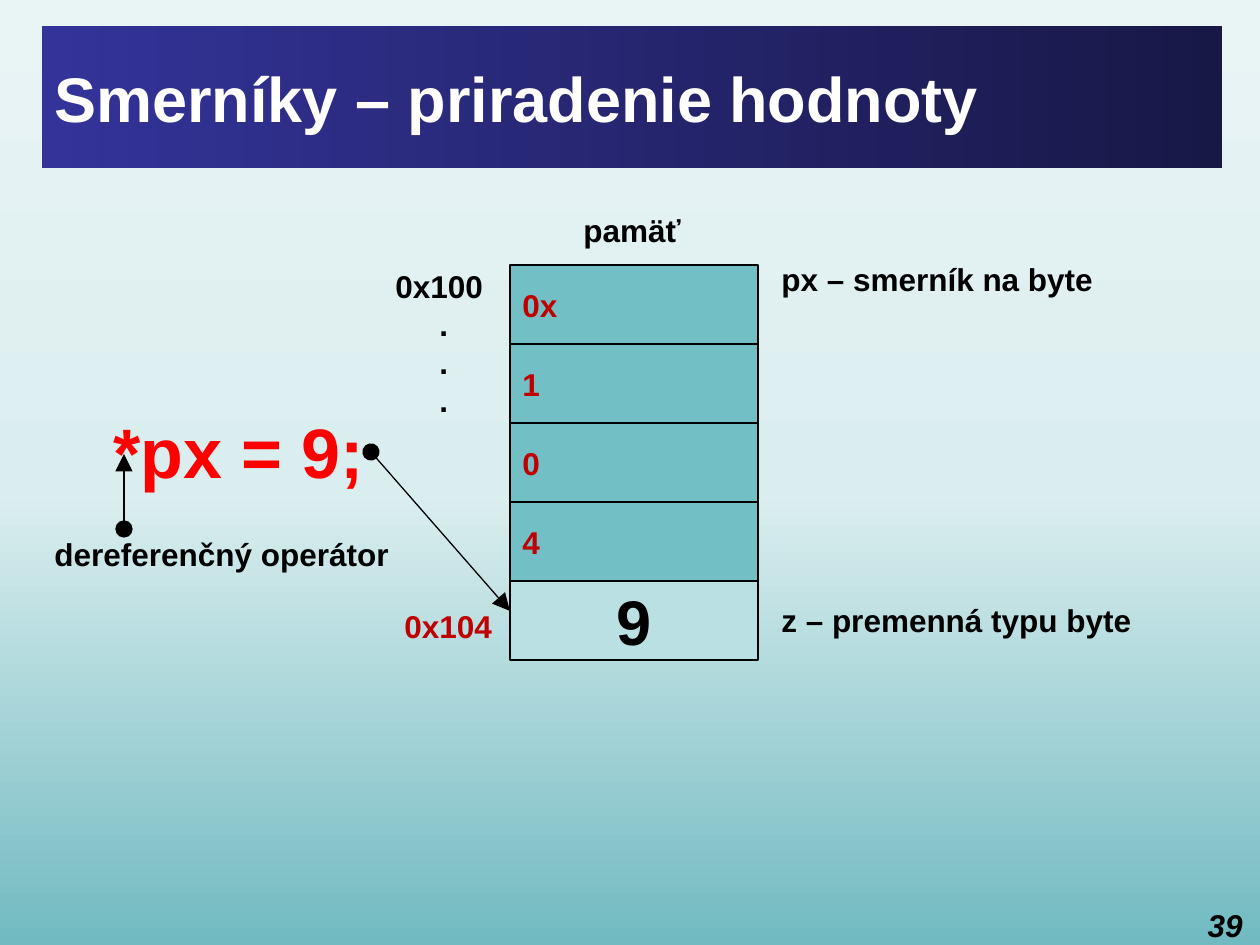
from copy import deepcopy

from lxml import etree
from pptx import Presentation
from pptx import util as u
from pptx.dml.color import RGBColor
from pptx.enum import shapes, text
from pptx.oxml import ns

PX = 914400 // 126
COLORS = {
    "black": "000000", "white": "FFFFFF", "red": "FF0000", "dark red": "C00000",
    "teal": "72BFC5", "pale": "BBE0E3", "indigo": "333399", "navy": "181847",
    "bottom": "71BAC1", "middle": "DBEEEF", "top": "E9F4F5",
}


def write(box, lines, size=18, color="black", align="LEFT", anchor="TOP", wrap=False, italic=False):
    """Fill a box with bold lines and return its paragraphs."""
    frame = box.text_frame
    frame.text = "\n".join(lines)
    frame.word_wrap = wrap
    frame.vertical_anchor = text.MSO_ANCHOR[anchor]
    style = {"name": "Arial", "size": u.Pt(size), "bold": True, "italic": italic}
    for para in frame.paragraphs:
        para.alignment = text.PP_ALIGN[align]
        for span in para.runs:
            for key, value in style.items():
                setattr(span.font, key, value)
            span.font.color.rgb = RGBColor.from_string(COLORS[color])
    return frame.paragraphs


def shade(fill, stops, angle):
    """Apply a linear gradient with any number of (position, color) stops."""
    fill.gradient()
    fill.gradient_angle = angle
    first = fill.gradient_stops[0]._gs
    for _ in stops[2:]:
        first.addnext(deepcopy(first))
    for stop, (position, color) in zip(fill.gradient_stops, stops):
        stop.position = position
        stop.color.rgb = RGBColor.from_string(COLORS[color])


deck = Presentation()
deck.slide_width, deck.slide_height = u.Inches(10), u.Inches(7.5)
page = deck.slides.add_slide(deck.slide_layouts[6])
shade(page.background.fill, [(0, "bottom"), (0.48, "middle"), (1, "top")], 90)

# Title bar
bar = page.shapes.add_shape(shapes.MSO_SHAPE.RECTANGLE, 42 * PX, 26 * PX, 1180 * PX, 142 * PX)
bar.shadow.inherit = False
bar.line.fill.background()
shade(bar.fill, [(0, "indigo"), (1, "navy")], 0)
write(bar, ["Smerníky – priradenie hodnoty"], 36, "white", anchor="MIDDLE", wrap=True)

# Address column: the last address stands six lines below the dots
column = page.shapes.add_textbox(383 * PX, 261 * PX, 129 * PX, 432 * PX)
addresses = write(column, ["0x100", ".", ".", ".", "0x104"], wrap=True)
for para, indent in zip(addresses, [0, 44, 44, 44, 9]):
    para.line_spacing = u.Pt(21.6)
    para._p.get_or_add_pPr().set("marL", str(indent * PX))
addresses[-1].space_before = u.Pt(5 * 21.6)
addresses[-1].runs[0].font.color.rgb = RGBColor.from_string(COLORS["dark red"])

# Memory cells: four bytes of the pointer, then the variable
pointer = {"size": 18, "color": "dark red"}
variable = {"size": 36, "color": "black", "align": "CENTER"}
cells = [(value, "teal", pointer) for value in ["0x", "1", "0", "4"]]
cells.append(("9", "pale", variable))
for row, (value, fill, style) in enumerate(cells):
    cell = page.shapes.add_shape(
        shapes.MSO_SHAPE.RECTANGLE, 510 * PX, (265 + 79 * row) * PX, 248 * PX, 79 * PX)
    cell.shadow.inherit = False
    cell.fill.solid()
    cell.fill.fore_color.rgb = RGBColor.from_string(COLORS[fill])
    cell.line.color.rgb = RGBColor.from_string(COLORS["black"])
    cell.line.width = u.Pt(0.75)
    write(cell, [value], anchor="MIDDLE", **style)

# Labels, statement and page number
labels = [
    ("pamäť", 571, 205, 123, 50, {}),
    ("px – smerník na byte", 769, 254, 340, 50, {}),
    ("z – premenná typu byte", 769, 595, 379, 50, {}),
    ("dereferenčný operátor", 42, 529, 363, 50, {}),
    ("*px = 9;", 101, 402, 280, 97, {"size": 40, "color": "red"}),
    ("39", 1188, 900, 67, 39, {"align": "RIGHT", "italic": True, "wrap": True}),
]
for label, left, top, width, height, style in labels:
    box = page.shapes.add_textbox(left * PX, top * PX, width * PX, height * PX)
    write(box, [label], **style)

# Arrows from the statement to the variable and from the note to the operator
for ends in [(371, 452, 510, 611), (124, 529, 124, 454)]:
    arrow = page.shapes.add_connector(
        shapes.MSO_CONNECTOR.STRAIGHT, *[end * PX for end in ends])
    arrow.line.color.rgb = RGBColor.from_string(COLORS["black"])
    arrow.line.width = u.Pt(0.75)
    outline = arrow.line._get_or_add_ln()
    for tag, kind in [("a:headEnd", "oval"), ("a:tailEnd", "triangle")]:
        etree.SubElement(outline, ns.qn(tag), type=kind, w="lg", len="lg")
    etree.SubElement(arrow._element.spPr, ns.qn("a:effectLst"))

deck.save("out.pptx")
